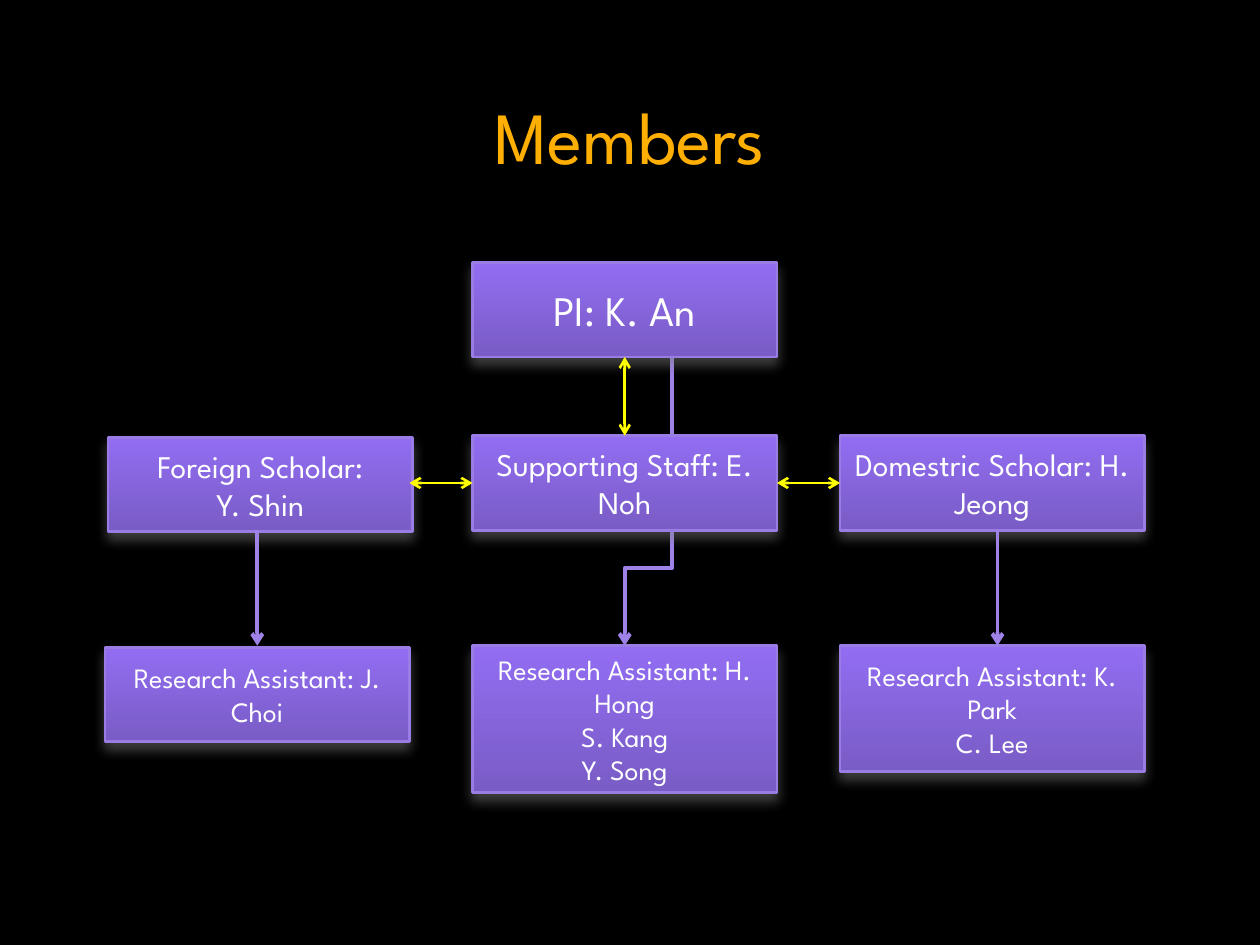
from dataclasses import dataclass

from lxml import etree
from pptx import Presentation
from pptx.dml.color import RGBColor
from pptx.enum.shapes import MSO_CONNECTOR, MSO_SHAPE
from pptx.enum.text import MSO_ANCHOR, PP_ALIGN
from pptx.oxml.ns import qn
from pptx.util import Inches, Pt

RECT = MSO_SHAPE.RECTANGLE
STRAIGHT, ELBOW = MSO_CONNECTOR.STRAIGHT, MSO_CONNECTOR.ELBOW
MIDDLE, CENTER = MSO_ANCHOR.MIDDLE, PP_ALIGN.CENTER
TOP, LEFT, BOTTOM, RIGHT = range(4)
COLS, ROWS = 12, 18
BOX_W, BOX_H = 2.9, 1.8


@dataclass(frozen=True)
class Theme:
    """Colours, font and sizes of the slide."""
    font: str = "League Spartan"
    background: str = "000000"
    title: str = "FFAF03"
    text: str = "FFFFFF"
    box_bottom: str = "795CC5"
    box_top: str = "926DF2"
    box_line: str = "997DE4"
    flow: str = "9E82E7"
    link: str = "FFFF00"
    shadow: str = "808080"
    title_size: int = 42
    lead_size: int = 24
    staff_size: int = 18
    assistant_size: int = 16
    thin: float = 1.5
    thick: float = 2.25


def add_xml(parent, tag, **attrs):
    """Append a child element with the given attributes."""
    return etree.SubElement(parent, qn(tag), {k: str(v) for k, v in attrs.items()})


class Chart:
    """Draws the elements of an organisation chart on a grid."""

    def __init__(self, prs, theme):
        """Add a title-only slide with a plain background."""
        self.theme = theme
        self.col, self.row = prs.slide_width / COLS, prs.slide_height / ROWS
        self.s = prs.slides.add_slide(prs.slide_layouts[5])
        fill = self.s.background.fill
        fill.solid()
        fill.fore_color.rgb = RGBColor.from_string(theme.background)

    def x(self, cols):
        """Turn columns into a length."""
        return round(cols * self.col)

    def y(self, rows):
        """Turn rows into a length."""
        return round(rows * self.row)

    def put_text(self, sp, lines, size, color):
        """Fill a shape with centred paragraphs."""
        tf = sp.text_frame
        for name, value in {"word_wrap": True, "vertical_anchor": MIDDLE}.items():
            setattr(tf, name, value)
        tf.text = "\n".join(lines)
        for p in tf.paragraphs:
            p.alignment = CENTER
            for r in p.runs:
                for name, value in {"name": self.theme.font, "size": Pt(size)}.items():
                    setattr(r.font, name, value)
                r.font.color.rgb = RGBColor.from_string(color)

    def title(self, text, left, top, width, height):
        """Place and format the title."""
        sp = self.s.shapes.title
        frame = {"left": self.x(left), "top": self.y(top),
                 "width": self.x(width), "height": self.y(height)}
        for name, value in frame.items():
            setattr(sp, name, value)
        self.put_text(sp, [text], self.theme.title_size, self.theme.title)

    def box(self, left, top, lines, size, height=BOX_H):
        """Add a shaded box for one role."""
        t = self.theme
        sp = self.s.shapes.add_shape(RECT, self.x(left), self.y(top),
                                     self.x(BOX_W), self.y(height))
        sp.fill.gradient()
        sp.fill.gradient_angle = 90
        for stop, color, position in zip(sp.fill.gradient_stops,
                                         (t.box_bottom, t.box_top), (0, 1)):
            stop.color.rgb = RGBColor.from_string(color)
            stop.position = position
        sp.line.color.rgb = RGBColor.from_string(t.box_line)
        sp.line.width = Pt(t.thin)
        sp.shadow.inherit = False
        effects = sp._element.spPr.find(qn("a:effectLst"))
        shadow = add_xml(effects, "a:outerShdw", blurRad=Pt(7), dist=Pt(4),
                         dir=5400000, rotWithShape=0)
        add_xml(add_xml(shadow, "a:srgbClr", val=t.shadow), "a:alpha", val=50000)
        self.put_text(sp, lines, size, t.text)
        return sp

    def connector(self, kind, ends, color, width, heads):
        """Add a connector with open arrowheads."""
        c = self.s.shapes.add_connector(kind, *ends)
        c.line.color.rgb = RGBColor.from_string(color)
        c.line.width = Pt(width)
        ln = c._element.spPr.find(qn("a:ln"))
        for head in heads:
            add_xml(ln, head, type="arrow")
        add_xml(c._element.spPr, "a:effectLst")
        return c

    def link(self, x1, y1, x2, y2, begin=None, end=None):
        """Add a two-way arrow, joined to boxes where given."""
        c = self.connector(STRAIGHT, (self.x(x1), self.y(y1), self.x(x2), self.y(y2)),
                           self.theme.link, self.theme.thin, ("a:headEnd", "a:tailEnd"))
        if begin:
            c.begin_connect(*begin)
        if end:
            c.end_connect(*end)

    def flow(self, x1, y1, x2, y2, bend=0.5):
        """Add a downward elbow arrow that bends at a share of its height."""
        x1, x2, y1, y2 = self.x(x1), self.x(x2), self.y(y1), self.y(y2)
        cx, cy = (x1 + x2) // 2, (y1 + y2) // 2
        dx, dy = (y2 - y1) // 2, (x1 - x2) // 2
        c = self.connector(ELBOW, (cx - dx, cy - dy, cx + dx, cy + dy),
                           self.theme.flow, self.theme.thick, ("a:tailEnd",))
        spPr = c._element.spPr
        spPr.find(qn("a:xfrm")).set("rot", "5400000")
        guides = spPr.find(qn("a:prstGeom")).find(qn("a:avLst"))
        add_xml(guides, "a:gd", name="adj1", fmla=f"val {round(bend * 100000)}")


def main():
    """Build the members slide."""
    prs = Presentation()
    prs.slide_width, prs.slide_height = Inches(10), Inches(7.5)
    t = Theme()
    chart = Chart(prs, t)
    left, mid, right = 1, 4.5, 8
    lead, staff, assistants = 5, 8.3, 12.3
    center, level = mid + BOX_W / 2, staff + BOX_H / 2

    chart.flow(6.4, lead + BOX_H, center, assistants, bend=0.73)
    chart.title("Members", 0.8, 1.54, 10.4, 2.06)
    pi = chart.box(mid, lead, ["PI: K. An"], t.lead_size)
    chart.box(left + 0.03, staff + 0.03, ["Foreign Scholar:", "Y. Shin"], t.staff_size)
    domestic = chart.box(right, staff, ["Domestric Scholar: H. Jeong"], t.staff_size)
    support = chart.box(mid, staff, ["Supporting Staff: E. Noh"], t.staff_size)
    for x, y, lines, height in (
        (mid, assistants, ["Research Assistant: H. Hong", "S. Kang", "Y. Song"], 2.8),
        (right, assistants, ["Research Assistant: K. Park", "C. Lee"], 2.4),
        (left, assistants + 0.03, ["Research Assistant: J. Choi"], BOX_H),
    ):
        chart.box(x, y, lines, t.assistant_size, height)

    chart.link(center, lead + BOX_H, center, staff, (pi, BOTTOM), (support, TOP))
    chart.link(right, level, mid + BOX_W, level, (domestic, LEFT), (support, RIGHT))
    chart.link(mid, level, left + BOX_W, level, (support, LEFT))
    for x in (left + BOX_W / 2, right + 1.5):
        chart.flow(x, staff + BOX_H, x, assistants)
    prs.save("out.pptx")


if __name__ == "__main__":
    main()
